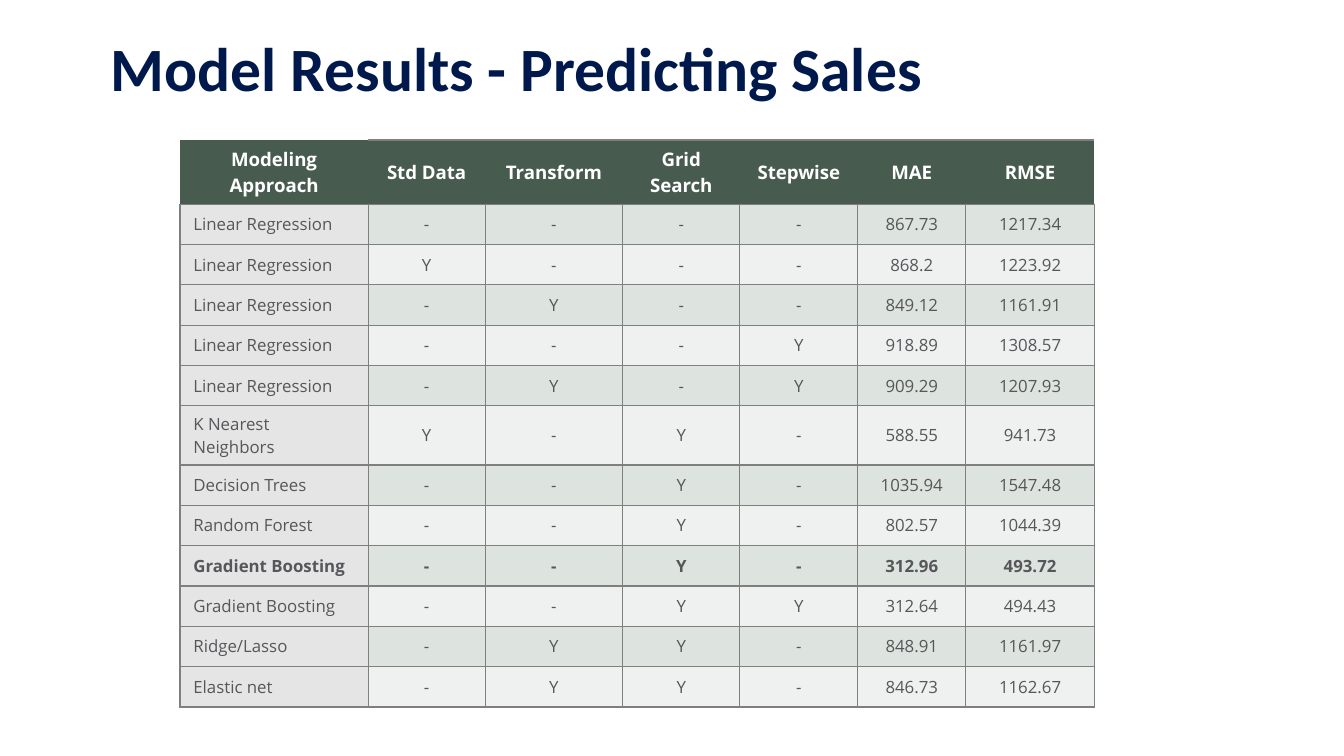
from lxml import etree
from pptx import Presentation
from pptx.dml.color import RGBColor
from pptx.enum.text import MSO_ANCHOR, MSO_AUTO_SIZE, PP_ALIGN
from pptx.oxml.ns import qn
from pptx.util import Pt

LEFT, CENTER = PP_ALIGN.LEFT, PP_ALIGN.CENTER
MIDDLE = MSO_ANCHOR.MIDDLE
NO_FIT = MSO_AUTO_SIZE.NONE

NAVY = RGBColor(0x00, 0x19, 0x4C)
GREEN = RGBColor(0x47, 0x5B, 0x4F)
SAGE = RGBColor(0xDD, 0xE3, 0xDF)
PALE = RGBColor(0xEF, 0xF1, 0xF0)
GRAY = RGBColor(0x55, 0x55, 0x55)
INK = RGBColor(0x57, 0x56, 0x5A)
RULE = RGBColor(0x7F, 0x7F, 0x7F)
WHITE = RGBColor(0xFF, 0xFF, 0xFF)

WIDTHS = [100.8, 62.7, 73.7, 62.8, 63.2, 57.8, 69]
ROW_H = 21.6
BEST = 9  # row of the chosen model
HEAD = ["Modeling Approach", "Std Data", "Transform", "Grid Search",
        "Stepwise", "MAE", "RMSE"]
# Model, one flag for each of the four options, MAE, RMSE
MODELS = [
    ("Linear Regression", "----", "867.73", "1217.34"),
    ("Linear Regression", "Y---", "868.2", "1223.92"),
    ("Linear Regression", "-Y--", "849.12", "1161.91"),
    ("Linear Regression", "---Y", "918.89", "1308.57"),
    ("Linear Regression", "-Y-Y", "909.29", "1207.93"),
    ("K Nearest Neighbors", "Y-Y-", "588.55", "941.73"),
    ("Decision Trees", "--Y-", "1035.94", "1547.48"),
    ("Random Forest", "--Y-", "802.57", "1044.39"),
    ("Gradient Boosting", "--Y-", "312.96", "493.72"),
    ("Gradient Boosting", "--YY", "312.64", "494.43"),
    ("Ridge/Lasso", "-YY-", "848.91", "1161.97"),
    ("Elastic net", "-YY-", "846.73", "1162.67"),
]


def put(target, values):
    for name, value in values.items():
        setattr(target, name, value)


def fade(parent, percent):
    """Set the opacity of the colour inside a fill or line element."""
    color = parent.find(".//" + qn("a:srgbClr"))
    etree.SubElement(color, qn("a:alpha"), val=str(percent * 1000))


class Deck:
    title_font = {"name": "Calibri", "size": Pt(33), "bold": True}
    head_font = {"name": "Open Sans", "size": Pt(10), "bold": True}
    body_font = {"name": "Open Sans", "size": Pt(9), "bold": False}
    line_w = 0.75
    plain_style = "{2D5ABB26-0587-4C30-8999-92F81FD0307C}"

    def __init__(self, width, height):
        self.prs = Presentation()
        put(self.prs, {"slide_width": Pt(width), "slide_height": Pt(height)})
        self.slide = self.prs.slides.add_slide(self.prs.slide_layouts[5])

    def label(self, para, text, align, font, color):
        para.text = text
        para.alignment = align
        put(para.font, font)
        para.font.color.rgb = color

    def title(self, text, left, top, width, height):
        shape = self.slide.shapes.title
        put(shape, {"left": Pt(left), "top": Pt(top),
                    "width": Pt(width), "height": Pt(height)})
        frame = shape.text_frame
        put(frame, {"margin_left": Pt(5.4), "margin_right": Pt(5.4),
                    "margin_top": Pt(2.7), "margin_bottom": Pt(2.7),
                    "vertical_anchor": MIDDLE, "word_wrap": True,
                    "auto_size": NO_FIT})
        para = frame.paragraphs[0]
        self.label(para, text, LEFT, self.title_font, NAVY)
        para.line_spacing = 0.9

    def border(self, cell, sides):
        props = cell._tc.get_or_add_tcPr()
        for side in sides:
            line = etree.SubElement(props, qn("a:ln" + side),
                                    w=str(Pt(self.line_w)))
            fill = etree.SubElement(line, qn("a:solidFill"))
            etree.SubElement(fill, qn("a:srgbClr"), val=str(RULE))
            fade(line, 50)

    def cell(self, cell, text, align, font, ink, fill, sides):
        self.border(cell, sides)
        cell.fill.solid()
        cell.fill.fore_color.rgb = fill
        put(cell, {"vertical_anchor": MIDDLE,
                   "margin_left": Pt(7.2), "margin_right": Pt(7.2),
                   "margin_top": Pt(3.6), "margin_bottom": Pt(3.6)})
        self.label(cell.text_frame.paragraphs[0], text, align, font, ink)

    def table(self, head, rows, left, top):
        frame = self.slide.shapes.add_table(
            len(rows) + 1, len(head), Pt(left), Pt(top),
            Pt(sum(WIDTHS)), Pt(ROW_H * (len(rows) + 1)))
        table = frame.table
        style = table._tbl.tblPr.find(qn("a:tableStyleId"))
        style.text = self.plain_style
        for col, width in zip(table.columns, WIDTHS):
            col.width = Pt(width)
        for row in table.rows:
            row.height = Pt(ROW_H)

        for c, text in enumerate(head):
            self.cell(table.cell(0, c), text, CENTER, self.head_font,
                      WHITE, GREEN, "TB" if c else "B")
        for r, row in enumerate(rows, 1):
            font = dict(self.body_font, bold=r == BEST)
            band = SAGE if r % 2 else PALE
            for c, text in enumerate(row):
                cell = table.cell(r, c)
                self.cell(cell, text, CENTER if c else LEFT, font, INK,
                          band if c else GRAY, "LRTB")
            fade(table.cell(r, 0)._tc.tcPr.find(qn("a:solidFill")), 15)


def main():
    deck = Deck(720, 405)
    deck.title("Model Results - Predicting Sales", 54, 14.4, 612, 48.2)
    rows = [(name, *flags, mae, rmse) for name, flags, mae, rmse in MODELS]
    deck.table(HEAD, rows, 96.4, 75)
    deck.prs.save("out.pptx")


if __name__ == "__main__":
    main()
